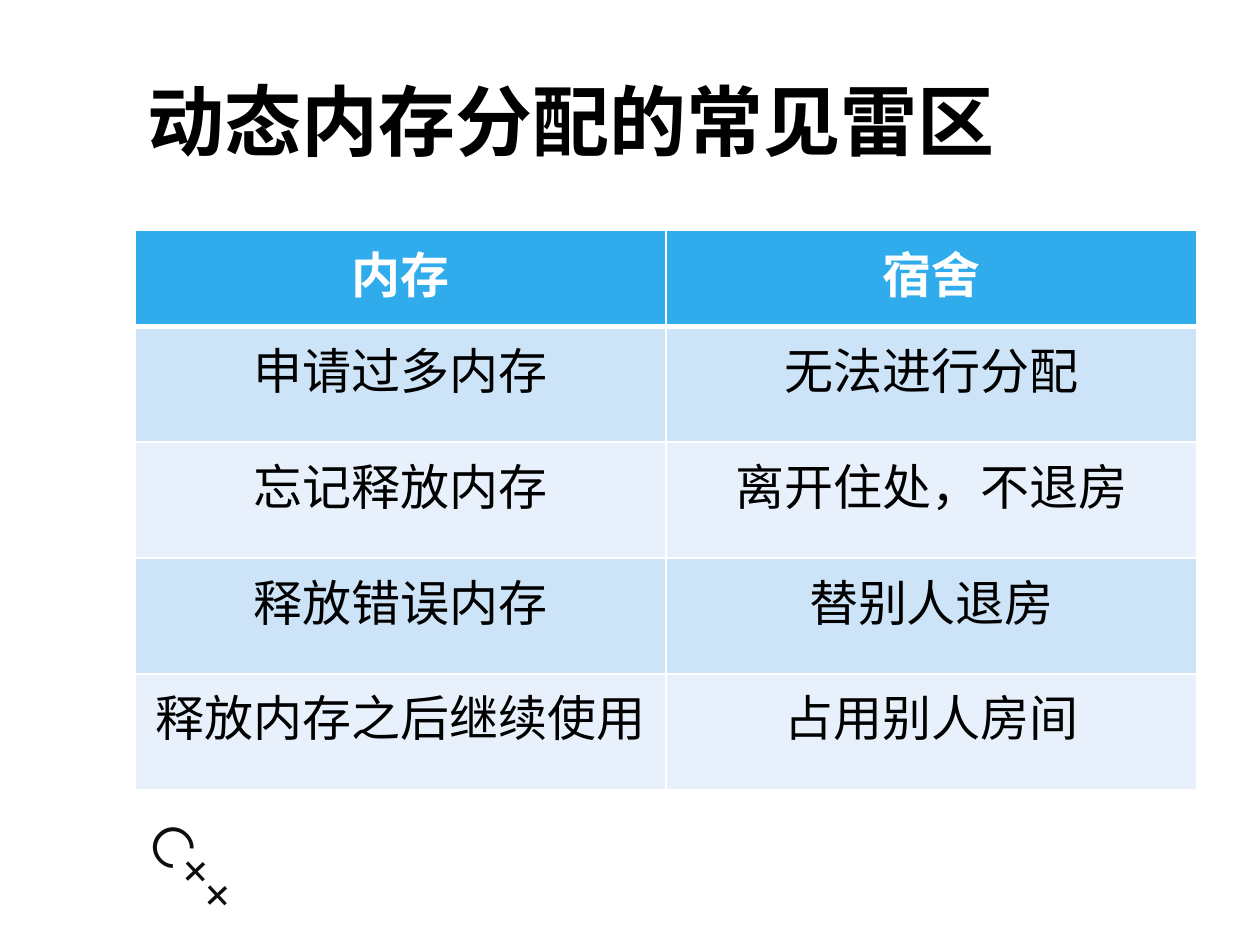
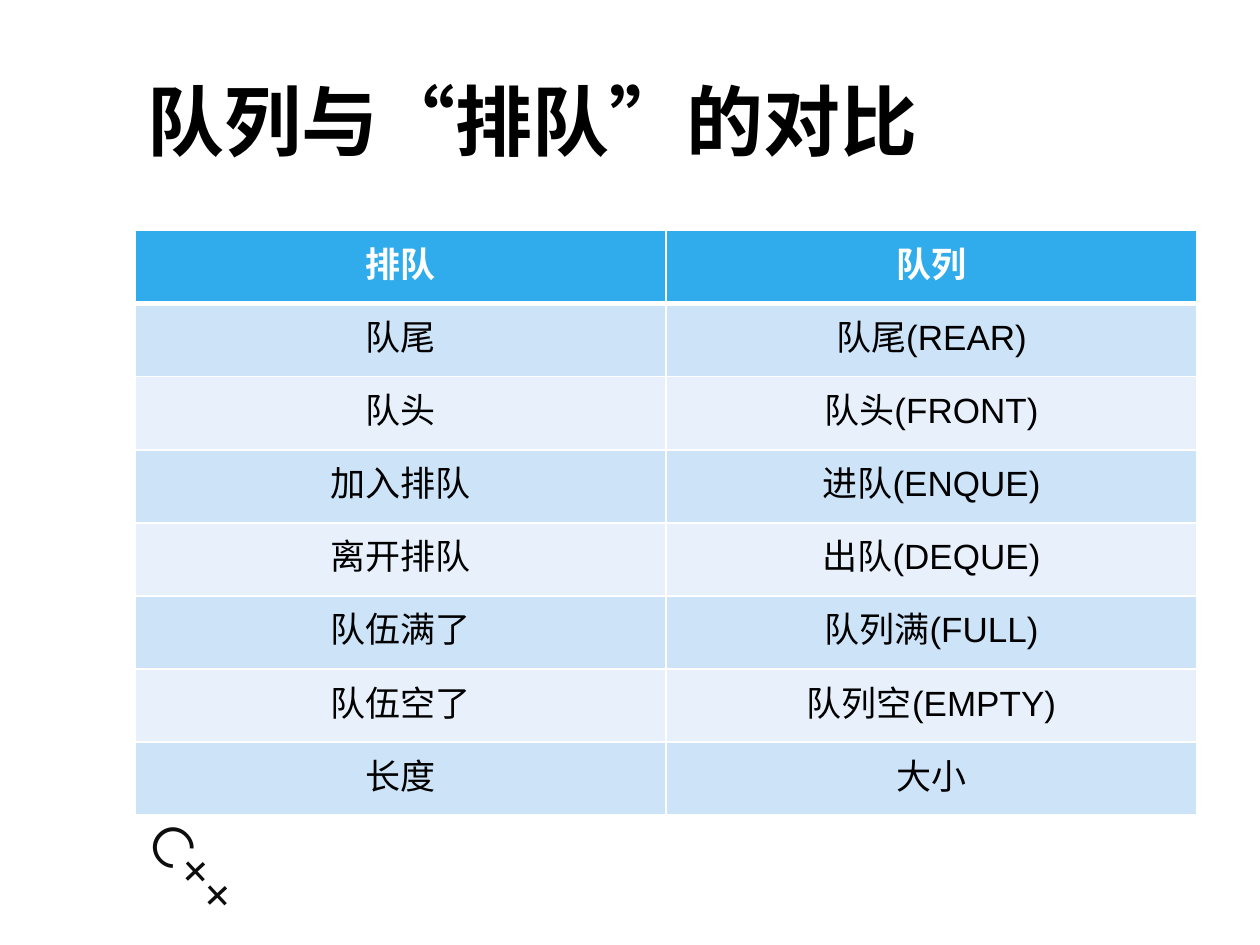
from lxml import etree
from pptx import Presentation
from pptx.dml.color import RGBColor
from pptx.enum.lang import MSO_LANGUAGE_ID
from pptx.enum.text import MSO_ANCHOR, PP_ALIGN
from pptx.oxml.ns import qn
from pptx.util import Inches, Pt

CENTER = PP_ALIGN.CENTER
LEFT = PP_ALIGN.LEFT
MIDDLE = MSO_ANCHOR.MIDDLE
TOP = MSO_ANCHOR.TOP
CHINESE = MSO_LANGUAGE_ID.SIMPLIFIED_CHINESE

WHITE = RGBColor(0xFF, 0xFF, 0xFF)
BLACK = RGBColor(0x00, 0x00, 0x00)
INK = RGBColor(0x0D, 0x0D, 0x0D)
HEADER_BLUE = RGBColor(0x30, 0xAC, 0xEC)
BANDS = (RGBColor(0xCD, 0xE3, 0xF8), RGBColor(0xE8, 0xF1, 0xFB))

BODY_FONT = "Arial"
MARK_FONT = "Montserrat"

TITLE_BOX = (1.07, 0.29, 8.43, 1.32)
MARK_BOX = (0.94, 6.78, 1.61, 0.64)
TABLE_LEFT, TABLE_TOP, TABLE_WIDTH = 1.07, 1.83, 8.43

MEMORY_ROWS = [
    ("内存", "宿舍"),
    ("申请过多内存", "无法进行分配"),
    ("忘记释放内存", "离开住处，不退房"),
    ("释放错误内存", "替别人退房"),
    ("释放内存之后继续使用", "占用别人房间"),
]
QUEUE_ROWS = [
    ("排队", "队列"),
    ("队尾", "队尾(REAR)"),
    ("队头", "队头(FRONT)"),
    ("加入排队", "进队(ENQUE)"),
    ("离开排队", "出队(DEQUE)"),
    ("队伍满了", "队列满(FULL)"),
    ("队伍空了", "队列空(EMPTY)"),
    ("长度", "大小"),
]


def write(tf, text, font, size, color, bold=False, align=LEFT):
    p = tf.paragraphs[0]
    p.alignment = align
    p.font.name = font
    p.font.size = Pt(size)
    p.font.bold = bold
    p.font.color.rgb = color
    r = p.add_run()
    r.text = text
    r.font.language_id = CHINESE


def add_text(slide, box, text, font, size, color, bold=False, anchor=TOP):
    sp = slide.shapes.add_textbox(*map(Inches, box))
    tf = sp.text_frame
    tf.word_wrap = True
    tf.vertical_anchor = anchor
    write(tf, text, font, size, color, bold)
    return sp


def set_borders(cell, bottom_width):
    tc_pr = cell._tc.get_or_add_tcPr()
    for side, width in (("L", 1), ("R", 1), ("T", 1), ("B", bottom_width)):
        ln = etree.SubElement(tc_pr, qn(f"a:ln{side}"), w=str(Pt(width)))
        fill = etree.SubElement(ln, qn("a:solidFill"))
        etree.SubElement(fill, qn("a:srgbClr"), val=str(WHITE))


def add_comparison(slide, rows, size, header_height, row_height):
    heights = [header_height] + [row_height] * (len(rows) - 1)
    columns = len(rows[0])
    frame = slide.shapes.add_table(
        len(rows), columns, Inches(TABLE_LEFT), Inches(TABLE_TOP),
        Inches(TABLE_WIDTH), Inches(sum(heights)))
    table = frame.table
    for column in table.columns:
        column.width = Inches(TABLE_WIDTH / columns)
    for i, (texts, height) in enumerate(zip(rows, heights)):
        table.rows[i].height = Inches(height)
        header = i == 0
        for j, text in enumerate(texts):
            cell = table.cell(i, j)
            set_borders(cell, 3 if header else 1)
            if header:
                cell.borders_top = None
            cell.fill.solid()
            cell.fill.fore_color.rgb = HEADER_BLUE if header else BANDS[(i - 1) % 2]
            write(cell.text_frame, text, BODY_FONT, size,
                  WHITE if header else BLACK, header, CENTER)


def add_slide(prs, title, rows, size, header_height, row_height):
    slide = prs.slides.add_slide(prs.slide_layouts[6])
    slide.background.fill.solid()
    slide.background.fill.fore_color.rgb = WHITE
    mark = add_text(slide, MARK_BOX, "C++", MARK_FONT, 32, INK)
    mark.rotation = 46.9
    add_text(slide, TITLE_BOX, title, BODY_FONT, 44, BLACK, True, MIDDLE)
    add_comparison(slide, rows, size, header_height, row_height)


def main():
    prs = Presentation()
    prs.slide_width = Inches(10)
    prs.slide_height = Inches(7.5)
    add_slide(prs, "动态内存分配的常见雷区", MEMORY_ROWS, 28, 0.76, 0.92)
    add_slide(prs, "队列与“排队”的对比", QUEUE_ROWS, 20, 0.58, 0.58)
    prs.save("out.pptx")


if __name__ == "__main__":
    main()
